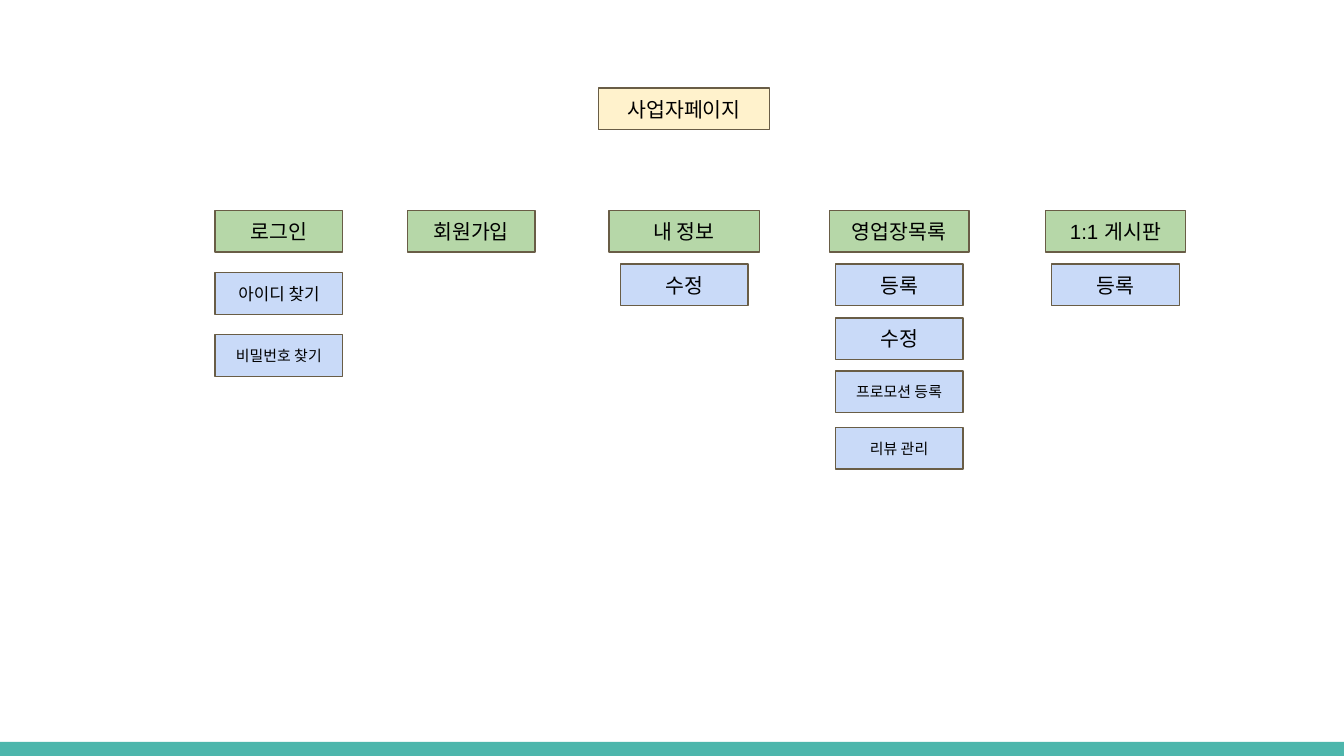
from pptx import Presentation
from pptx.dml.color import RGBColor
from pptx.enum.shapes import MSO_SHAPE as Shape
from pptx.enum.text import MSO_ANCHOR as Anchor, PP_ALIGN as Align
from pptx.util import Inches, Pt

TEAL = RGBColor(0x4D, 0xB6, 0xAC)
CREAM = RGBColor(0xFF, 0xF2, 0xCC)
GREEN = RGBColor(0xB6, 0xD7, 0xA8)
BLUE = RGBColor(0xC9, 0xDA, 0xF8)
BROWN = RGBColor(0x69, 0x5D, 0x46)
BLACK = RGBColor(0, 0, 0)

COLUMNS, ROWS = 100, 56.25
BOX_WIDTH, BOX_HEIGHT = 9.5, 3.1
ROOT_TOP, MENU_TOP = 6.55, 15.65
FOOTER_TOP = 55.2

MENUS = [
    ("로그인", 20.75, 9.5, [("아이디 찾기", 9, 20.3), ("비밀번호 찾기", 8, 24.9)]),
    ("회원가입", 35.05, 9.5, []),
    ("내 정보", 50.9, 11.2, [("수정", 11, 19.65)]),
    ("영업장목록", 66.9, 10.4, [
        ("등록", 11, 19.65),
        ("수정", 11, 23.65),
        ("프로모션 등록", 8, 27.6),
        ("리뷰 관리", 8, 31.8),
    ]),
    ("1:1 게시판", 83, 10.4, [("등록", 11, 19.65)]),
]


def write(shape, text, size=11, font="Arial", color=BLACK, align=Align.CENTER):
    frame = shape.text_frame
    frame.word_wrap = True
    frame.vertical_anchor = Anchor.MIDDLE
    frame.margin_left = frame.margin_right = Inches(0.1)
    frame.margin_top = frame.margin_bottom = Inches(0.1)
    paragraph = frame.paragraphs[0]
    paragraph.alignment = align
    run = paragraph.add_run()
    run.text = text
    run.font.size = Pt(size)
    run.font.name = font
    run.font.color.rgb = color


class SiteMap:
    def __init__(self, deck):
        self.slide = deck.slides.add_slide(deck.slide_layouts[6])
        self.column = deck.slide_width / COLUMNS
        self.row = deck.slide_height / ROWS

    def rectangle(self, left, top, width, height, fill):
        shape = self.slide.shapes.add_shape(
            Shape.RECTANGLE,
            round(left * self.column), round(top * self.row),
            round(width * self.column), round(height * self.row))
        shape.shadow.inherit = False
        shape.fill.solid()
        shape.fill.fore_color.rgb = fill
        return shape

    def footer(self):
        bar = self.rectangle(0, FOOTER_TOP, COLUMNS, ROWS - FOOTER_TOP, TEAL)
        bar.line.fill.background()

    def page(self, text, center, top, fill, width=BOX_WIDTH, size=11):
        box = self.rectangle(center - width / 2, top, width, BOX_HEIGHT, fill)
        box.line.color.rgb = BROWN
        box.line.width = Pt(0.75)
        write(box, text, size=size)

    def menu(self, text, center, width, subpages):
        self.page(text, center, MENU_TOP, GREEN, width)
        for label, size, top in subpages:
            self.page(label, center, top, BLUE, size=size)


def main():
    deck = Presentation()
    deck.slide_width, deck.slide_height = Inches(10), Inches(5.625)
    site_map = SiteMap(deck)
    site_map.footer()
    site_map.page("사업자페이지", 50.9, ROOT_TOP, CREAM, width=12.75)
    for menu in MENUS:
        site_map.menu(*menu)
    deck.save("out.pptx")


if __name__ == "__main__":
    main()
